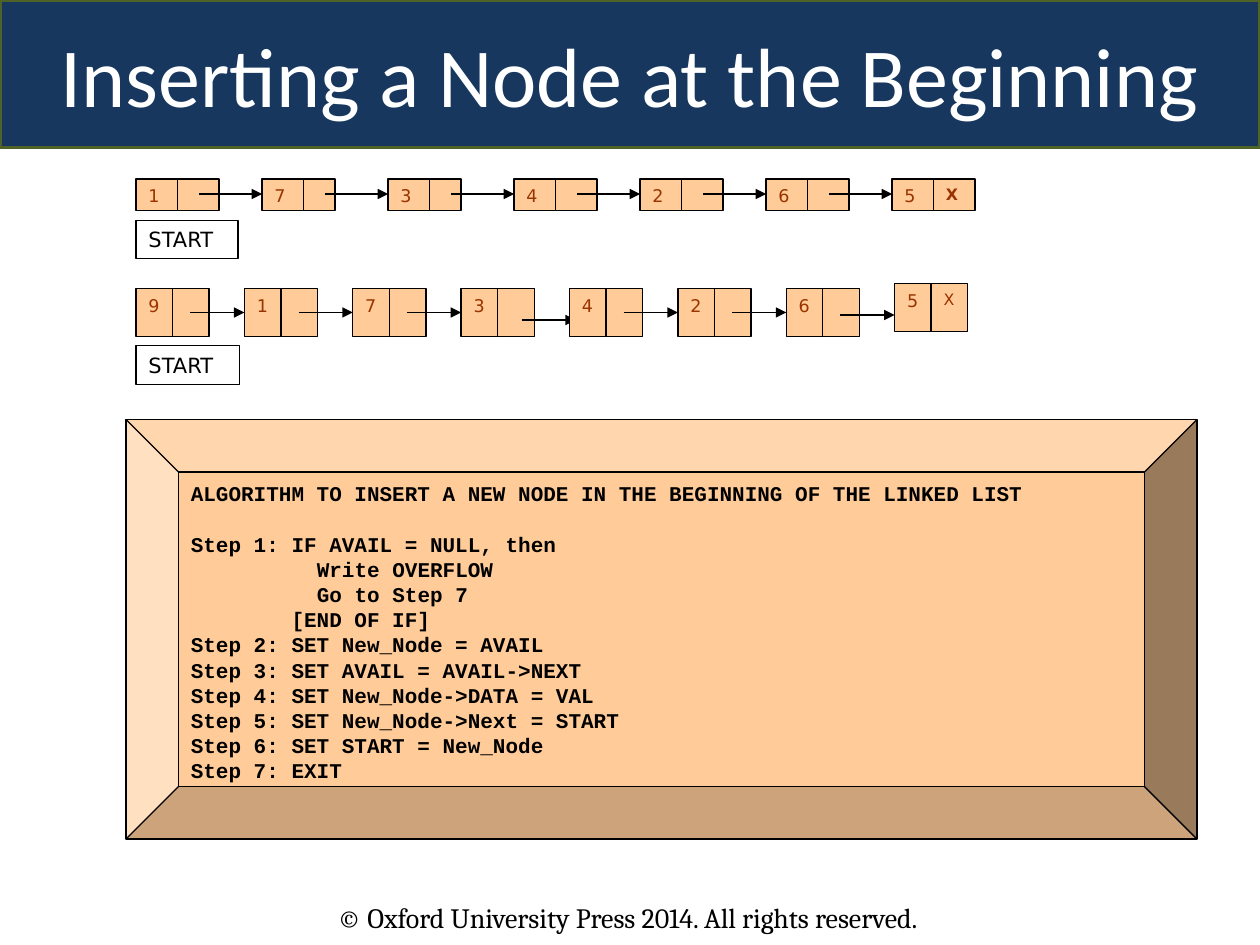
from dataclasses import dataclass

from lxml.etree import SubElement
from pptx import Presentation
from pptx.dml.color import RGBColor
from pptx.enum.shapes import MSO_CONNECTOR, MSO_SHAPE
from pptx.enum.text import MSO_ANCHOR, PP_ALIGN
from pptx.oxml.ns import qn
from pptx.util import Inches, Pt


@dataclass(frozen=True)
class Theme:
    navy: str = "17375E"
    olive: str = "4F6228"
    peach: str = "FFCC99"
    rust: str = "993300"
    black: str = "000000"
    white: str = "FFFFFF"
    title_size: float = 48
    footer_size: float = 16
    body_size: float = 12
    node_size: float = 10
    null_size: float = 9
    code_leading: float = 14.4
    title_font: str = "Calibri"
    footer_font: str = "Cambria"
    code_font: str = "Courier New"
    node_font: str = "DejaVu Sans"


class SlideBuilder:
    """Draw styled elements on the current slide."""

    def __init__(self, slide, theme):
        self.slide = slide
        self.theme = theme

    def apply(self, target, values):
        for name, value in values.items():
            setattr(target, name, value)

    def add_text(self, shape, lines, font, size, color, bold=False, frame=None, paragraph=None):
        text_frame = shape.text_frame
        self.apply(text_frame, {"word_wrap": True, "vertical_anchor": MSO_ANCHOR.TOP, **(frame or {})})
        for index, line in enumerate(lines):
            item = text_frame.add_paragraph() if index else text_frame.paragraphs[0]
            self.apply(item, {"alignment": PP_ALIGN.LEFT, **(paragraph or {})})
            run = item.add_run()
            run.text = line
            self.apply(run.font, {"name": font, "size": Pt(size), "bold": bold})
            run.font.color.rgb = RGBColor.from_string(color)

    def box(self, left, top, width, height, fill=None, kind=MSO_SHAPE.RECTANGLE,
            line=None, line_width=0.75, adjustment=None):
        shape = self.slide.shapes.add_shape(
            kind, Inches(left), Inches(top), Inches(width), Inches(height))
        shape.shadow.inherit = False
        if adjustment is not None:
            shape.adjustments[0] = adjustment
        if fill:
            shape.fill.solid()
            shape.fill.fore_color.rgb = RGBColor.from_string(fill)
        else:
            shape.fill.background()
        shape.line.color.rgb = RGBColor.from_string(line or self.theme.black)
        shape.line.width = Pt(line_width)
        return shape

    def arrow(self, left, top, length):
        connector = self.slide.shapes.add_connector(
            MSO_CONNECTOR.STRAIGHT, Inches(left), Inches(top), Inches(left + length), Inches(top))
        connector.line.color.rgb = RGBColor.from_string(self.theme.black)
        connector.line.width = Pt(0.75)
        properties = connector.element.spPr
        SubElement(properties.find(qn("a:ln")), qn("a:tailEnd"), type="triangle")
        SubElement(properties, qn("a:effectLst"))

    def title(self, text):
        theme = self.theme
        shape = self.box(0, 0, 10, 1.17, theme.navy, MSO_SHAPE.ROUNDED_RECTANGLE, theme.olive, 2, 0)
        self.add_text(shape, [text], theme.title_font, theme.title_size, theme.white,
                      frame={"vertical_anchor": MSO_ANCHOR.MIDDLE},
                      paragraph={"alignment": PP_ALIGN.CENTER})

    def footer(self, text):
        theme = self.theme
        shape = self.slide.shapes.add_textbox(Inches(2.58), Inches(7.1), Inches(5.92), Inches(0.37))
        self.add_text(shape, [text], theme.footer_font, theme.footer_size, theme.black)

    def start_label(self, top, width, height):
        theme = self.theme
        self.add_text(self.box(1.08, top, width, height), ["START"],
                      theme.node_font, theme.body_size, theme.black,
                      frame={"word_wrap": False, "vertical_anchor": MSO_ANCHOR.MIDDLE})

    def linked_list(self, values, top, pitch, cell, height, arrow, narrow=None,
                    shifts=None, last_rise=0, bold_null=False):
        theme = self.theme
        start, length, level = arrow
        last = len(values) - 1
        for index, value in enumerate(values):
            left = 1.08 + index * pitch
            node_top = top - last_rise if index == last else top
            data = self.box(left, node_top, cell, height, theme.peach)
            self.add_text(data, [value], theme.node_font, theme.node_size, theme.rust)
            pointer_width = (narrow or {}).get(value, cell)
            pointer = self.box(left + cell, node_top, pointer_width, height, theme.peach)
            if index == last:
                self.add_text(pointer, ["X"], theme.node_font, theme.null_size, theme.rust, bold_null)
            else:
                across, down = (shifts or {}).get(value, (0, 0))
                self.arrow(left + start + across, level + down, length)

    def algorithm(self, lines):
        theme = self.theme
        shape = self.box(1, 3.33, 8.5, 3.33, theme.peach, MSO_SHAPE.BEVEL, adjustment=0.125)
        self.add_text(shape, lines, theme.code_font, theme.body_size, theme.black, True,
                      frame={"margin_top": Inches(0.07)},
                      paragraph={"line_spacing": Pt(theme.code_leading)})
        shape.text_frame.paragraphs[1].space_before = Pt(theme.code_leading)


def main():
    presentation = Presentation()
    presentation.slide_width = Inches(10)
    presentation.slide_height = Inches(7.5)
    slide = presentation.slides.add_slide(presentation.slide_layouts[6])
    builder = SlideBuilder(slide, Theme())
    builder.footer("© Oxford University Press 2014. All rights reserved.")
    builder.title("Inserting a Node at the Beginning")
    builder.linked_list("1734265", 1.42, 1, 0.33, 0.25, (0.5, 0.5, 1.54),
                        narrow={"7": 0.25, "3": 0.25}, bold_null=True)
    builder.start_label(1.75, 0.81, 0.3)
    builder.linked_list("91734265", 2.29, 0.86, 0.29, 0.38, (0.43, 0.43, 2.48),
                        shifts={"3": (0.05, 0.06), "6": (0, 0.02)}, last_rise=0.04)
    builder.start_label(2.74, 0.82, 0.31)
    builder.algorithm([
        "ALGORITHM TO INSERT A NEW NODE IN THE BEGINNING OF THE LINKED LIST",
        "Step 1: IF AVAIL = NULL, then",
        "\t\tWrite OVERFLOW",
        "\t\tGo to Step 7",
        "        [END OF IF]",
        "Step 2: SET New_Node = AVAIL",
        "Step 3: SET AVAIL = AVAIL->NEXT",
        "Step 4: SET New_Node->DATA = VAL",
        "Step 5: SET New_Node->Next = START",
        "Step 6: SET START = New_Node",
        "Step 7: EXIT",
    ])
    presentation.save("out.pptx")


if __name__ == "__main__":
    main()
